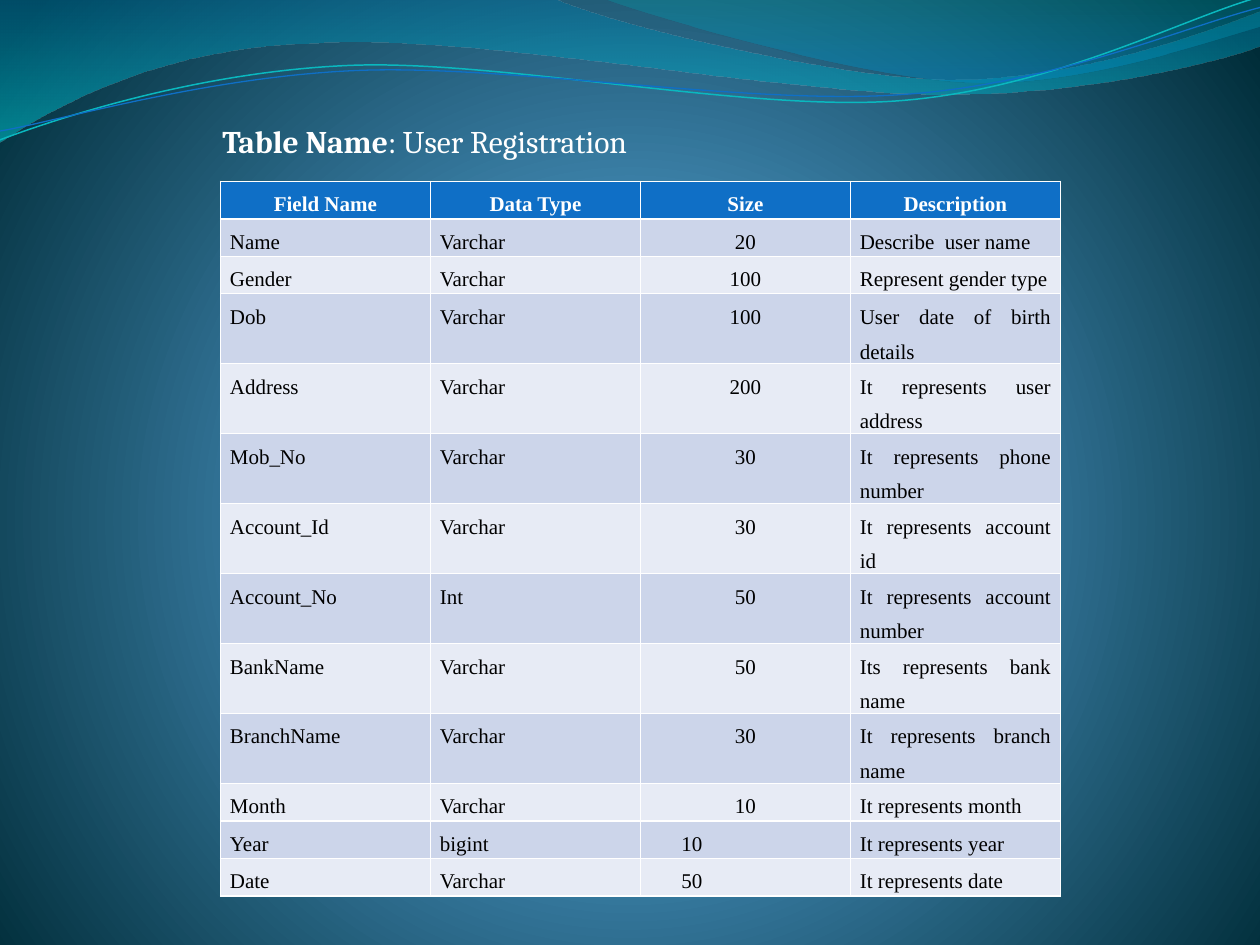
from math import cos, radians, sin

from lxml import etree
from pptx import Presentation
from pptx.dml.color import RGBColor
from pptx.enum.text import MSO_ANCHOR, MSO_AUTO_SIZE, PP_ALIGN
from pptx.oxml.ns import qn
from pptx.util import Pt

CENTER, JUSTIFY, LEFT = PP_ALIGN.CENTER, PP_ALIGN.JUSTIFY, PP_ALIGN.LEFT
TOP = MSO_ANCHOR.TOP
FIT_SHAPE = MSO_AUTO_SIZE.SHAPE_TO_FIT_TEXT

WHITE = RGBColor(0xFF, 0xFF, 0xFF)
BLACK = RGBColor(0x00, 0x00, 0x00)
BLUE = RGBColor(0x0F, 0x6F, 0xC6)
AQUA = RGBColor(0x0A, 0xB8, 0xBF)
BAND_DARK = RGBColor(0xCC, 0xD5, 0xEA)
BAND_LIGHT = RGBColor(0xE7, 0xEB, 0xF5)

# Gradient stops: position in percent, colour, opacity in percent
BACKDROP_STOPS = [(0, RGBColor(0x4A, 0xA0, 0xD6), 100),
                  (25, RGBColor(0x4C, 0x98, 0xC7), 100),
                  (100, RGBColor(0x00, 0x2C, 0x38), 100)]
LEFT_WAVE_STOPS = [(0, RGBColor(0x00, 0x74, 0xA1), 45),
                   (100, RGBColor(0x00, 0xC6, 0xCF), 55)]
RIGHT_WAVE_STOPS = [(0, RGBColor(0x00, 0xA1, 0xA9), 30),
                    (80, RGBColor(0x00, 0x8B, 0xBF), 45)]

# Outlines in points: a start, then segments of one point (straight)
# or three points (two controls and the end of a curve)
LEFT_WAVE = [[(0, 0)], [(316.8, -0.7)],
             [(342.7, 12.2), (478.1, 45.4), (545.8, 45.4)],
             [(614.2, 45.4), (689.8, 18.7), (720, 6.5)],
             [(720.7, 25.9)],
             [(707.8, 31.7), (626.4, 54.7), (537.1, 54)],
             [(447.8, 54), (275, 20.2), (185, 24.5)],
             [(92.9, 25.9), (33.1, 59.8), (-0.7, 81.4)],
             [(0, 0)]]
RIGHT_WAVE = [[(344.9, -0.7)],
              [(366.5, 7.9), (491, 44.6), (553.7, 46.8)],
              [(616.3, 49.7), (691.9, 23), (720, 15.1)],
              [(720, 0)], [(344.9, -0.7)]]
AQUA_LINE = [[(0, 79.9)],
             [(34.6, 67), (113.8, 41), (199.4, 37.4)],
             [(284.4, 33.8), (427, 64.1), (513.4, 57.6)],
             [(599.8, 51.1), (675.4, 10.8), (718.6, -1.4)]]
BLUE_LINE = [[(0, 74.9)],
             [(33.8, 69.1), (118.1, 43.9), (203.8, 40.3)],
             [(290.2, 36.7), (429.8, 60.5), (516.2, 54)],
             [(601.9, 48.2), (677.5, 15.1), (720, 4.3)]]
TILT = 2.7

HEADERS = ["Field Name", "Data Type", "Size", "Description"]
FIELDS = [
    ["Name", "Varchar", "20", "Describe  user name"],
    ["Gender", "Varchar", "100", "Represent gender type"],
    ["Dob", "Varchar", "100", "User date of birth details"],
    ["Address", "Varchar", "200", "It represents user address"],
    ["Mob_No", "Varchar", "30", "It represents phone number"],
    ["Account_Id", "Varchar", "30", "It represents account id"],
    ["Account_No", "Int", "50", "It represents account number"],
    ["BankName", "Varchar", "50", "Its represents bank name"],
    ["BranchName", "Varchar", "30", "It represents branch name"],
    ["Month", "Varchar", "10", "It represents month"],
    ["Year", "bigint", "10", "It represents year"],
    ["Date", "Varchar", "50", "It represents date"],
]
SIZE_COLUMN = 2
FIRST_LEFT_ROW = 11
TWO_LINE_ROWS = range(3, 10)
CELL_MARGIN = 5.4
SIZE_INDENT = 18


def gradient_over_solid(parent, stops, shade, **shade_attributes):
    """Swap the solid fill inside parent for a gradient and return its shade element."""
    gradient = etree.Element(qn("a:gradFill"), rotWithShape="1")
    stop_list = etree.SubElement(gradient, qn("a:gsLst"))
    for position, color, opacity in stops:
        stop = etree.SubElement(stop_list, qn("a:gs"), pos=str(position * 1000))
        tone = etree.SubElement(stop, qn("a:srgbClr"), val=str(color))
        if opacity < 100:
            etree.SubElement(tone, qn("a:alpha"), val=str(opacity * 1000))
    shade_element = etree.SubElement(gradient, qn(shade), **shade_attributes)
    parent.replace(parent.find(qn("a:solidFill")), gradient)
    return shade_element


def paint_backdrop(page):
    page.background.fill.solid()
    properties = page.element.find(".//" + qn("p:bgPr"))
    shade = gradient_over_solid(properties, BACKDROP_STOPS, "a:path", path="circle")
    etree.SubElement(shade, qn("a:fillToRect"),
                     l="10000", t="110000", r="10000", b="100000")


def add_outline(page, outline, close):
    """Build the outline from straight steps, then join each three into a curve."""
    corners = [(Pt(x), Pt(y)) for segment in outline for x, y in segment]
    builder = page.shapes.build_freeform(*corners[0])
    builder.add_line_segments(corners[1:], close=close)
    shape = builder.convert_to_shape()
    shape.shadow.inherit = False
    steps = iter(list(shape.element.iter(qn("a:lnTo"))))
    for segment in outline[1:]:
        first, *others = [next(steps) for _ in segment]
        if others:
            first.tag = qn("a:cubicBezTo")
            for step in others:
                first.append(step[0])
                step.getparent().remove(step)
    return shape


def add_wave(page, outline, stops):
    wave = add_outline(page, outline, close=True)
    wave.line.fill.background()
    wave.fill.solid()
    gradient_over_solid(wave.element.spPr, stops, "a:lin", ang="5400000", scaled="0")


def turned(point, center, angle):
    dx, dy = point[0] - center[0], point[1] - center[1]
    cosine, sine = cos(radians(angle)), sin(radians(angle))
    return (center[0] + dx * cosine - dy * sine, center[1] + dx * sine + dy * cosine)


def add_wave_line(page, outline, center, color, width):
    """Level the outline about its center, then tilt the shape back."""
    level = [[turned(point, center, TILT) for point in segment] for segment in outline]
    curve = add_outline(page, level, close=False)
    curve.rotation = 360 - TILT
    curve.fill.background()
    curve.line.color.rgb = color
    curve.line.width = Pt(width)


def add_span(para, text, font, size, color, bold):
    span = para.add_run()
    span.text = text
    span.font.name = font
    span.font.size = Pt(size)
    span.font.color.rgb = color
    span.font.bold = bold


def add_caption(page):
    box = page.shapes.add_textbox(Pt(120), Pt(66.3), Pt(263.5), Pt(29))
    box.text_frame.word_wrap = False
    box.text_frame.auto_size = FIT_SHAPE
    para = box.text_frame.paragraphs[0]
    add_span(para, "Table Name", "Cambria", 18, WHITE, True)
    add_span(para, ": User Registration", "Cambria", 18, WHITE, False)


def fill_cell(cell, text, row, column):
    header = row == 0
    cell.fill.solid()
    cell.fill.fore_color.rgb = BLUE if header else BAND_DARK if row % 2 else BAND_LIGHT
    cell.margin_left = cell.margin_right = Pt(CELL_MARGIN)
    cell.margin_top = cell.margin_bottom = Pt(0)
    cell.vertical_anchor = TOP
    para = cell.text_frame.paragraphs[0]
    para.line_spacing = 1.5
    para.space_after = Pt(10)
    if row >= FIRST_LEFT_ROW:
        para.alignment = LEFT
        if column == SIZE_COLUMN:
            cell.margin_left = Pt(CELL_MARGIN + SIZE_INDENT)
    else:
        para.alignment = CENTER if header or column == SIZE_COLUMN else JUSTIFY
    add_span(para, text, "Times New Roman", 12, WHITE if header else BLACK, header)


def add_field_table(page):
    """The table keeps its default style for the white cell borders."""
    rows = [HEADERS] + FIELDS
    frame = page.shapes.add_table(len(rows), len(HEADERS),
                                  Pt(126), Pt(103.7), Pt(480), Pt(412.5))
    table = frame.table
    for column in table.columns:
        column.width = Pt(120)
    for row, texts in enumerate(rows):
        table.rows[row].height = Pt(38.4 if row in TWO_LINE_ROWS else 21.4)
        for column, text in enumerate(texts):
            fill_cell(table.cell(row, column), text, row, column)


def main():
    deck = Presentation()
    deck.slide_width, deck.slide_height = Pt(720), Pt(540)
    page = deck.slides.add_slide(deck.slide_layouts[6])
    paint_backdrop(page)
    add_wave(page, LEFT_WAVE, LEFT_WAVE_STOPS)
    add_wave(page, RIGHT_WAVE, RIGHT_WAVE_STOPS)
    add_wave_line(page, AQUA_LINE, (359.3, 41.4), AQUA, 0.85)
    add_wave_line(page, BLUE_LINE, (359.6, 42.5), BLUE, 0.75)
    add_field_table(page)
    add_caption(page)
    deck.save("out.pptx")


if __name__ == "__main__":
    main()
